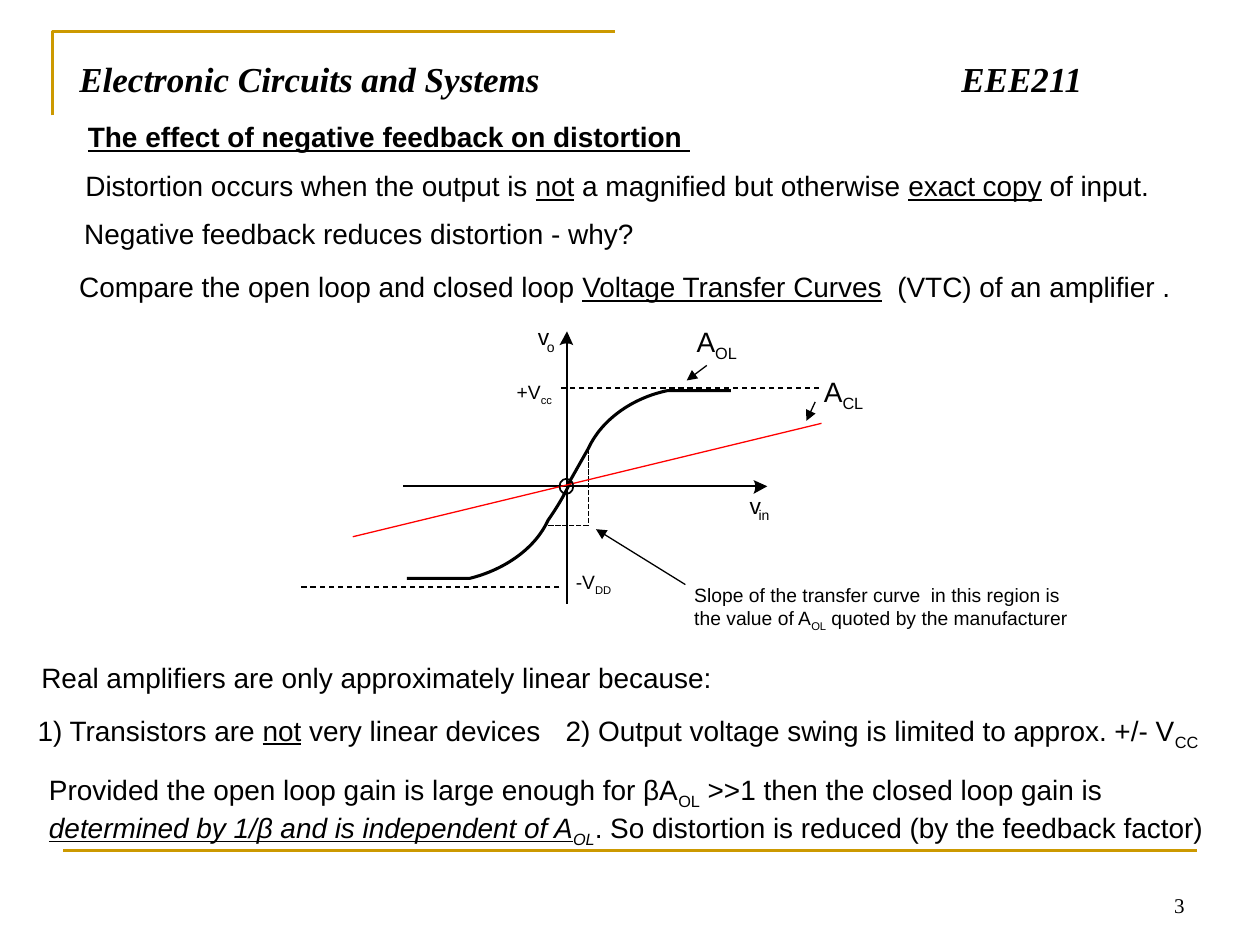
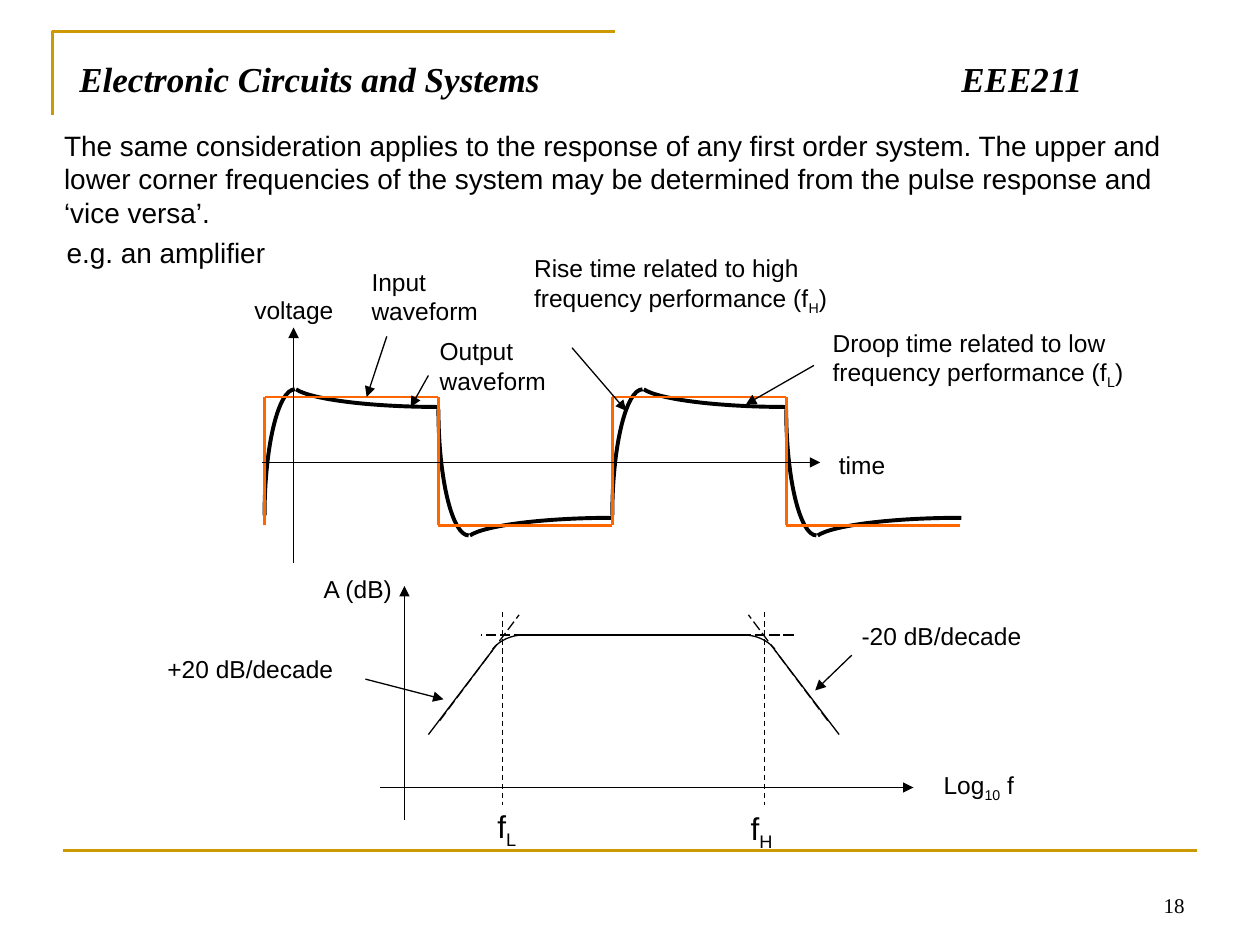
from lxml import etree
from pptx import Presentation, util as u
from pptx.dml.color import RGBColor
from pptx.enum import dml, shapes, text
from pptx.oxml.ns import qn

BLACK = RGBColor(0, 0, 0)
GOLD = RGBColor(0xCC, 0x99, 0x00)
RED = RGBColor(0xFF, 0, 0)
ORANGE = RGBColor(0xFF, 0x66, 0x00)
SANS, SERIF = "Arial", "Times New Roman"
DASH, LONG, DOT = (dml.MSO_LINE.DASH, dml.MSO_LINE.LONG_DASH,
                   dml.MSO_LINE.SQUARE_DOT)
WIDE, HIGH = 10, 7.5

# Content: a run is a string, or (string, marks) with b, i, u, s (subscript)
# and l (2 points larger)
TITLE = "Electronic Circuits and Systems\tEEE211"

# left, top, width, size, lines, runs
VTC_TEXT = [
    (0.6, 0.9, 6.53, 16, 1,
     [("The effect of negative feedback on distortion", "bu"), (" ", "u")]),
    (0.58, 1.29, 9, 16, 1,
     ["Distortion occurs when the output is ", ("not", "u"),
      " a magnified but otherwise ", ("exact copy", "u"), " of input."]),
    (0.57, 1.67, 9, 16, 1, ["Negative feedback reduces distortion - why?"]),
    (0.53, 2.09, 9.22, 16, 1,
     ["Compare the open loop and closed loop ",
      ("Voltage Transfer Curves", "u"), "  (VTC) of an amplifier ."]),
    (5.43, 2.53, 0.65, 16, 1, ["A", ("OL", "s")]),
    (6.44, 2.92, 0.65, 16, 1, ["A", ("CL", "s")]),
    (0.23, 5.19, 5.75, 16, 1,
     ["Real amplifiers are only approximately linear because:"]),
    (0.2, 5.61, 4.33, 16, 1,
     ["1) Transistors are ", ("not", "u"), " very linear devices"]),
    (4.39, 5.61, 5.42, 16, 1,
     ["2) Output voltage swing is limited to approx. +/- V", ("CC", "s")]),
    (0.29, 6.08, 9.45, 16, 2,
     ["Provided the open loop gain is large enough for βA", ("OL", "s"),
      " >>1 then the closed loop gain is ",
      ("determined by 1/β and is independent of A", "iu"), ("OL", "is"),
      ". So distortion is reduced (by the feedback factor)"]),
]
# Labels without margins
VTC_TAGS = [
    (4.27, 2.56, 0.09, 13, 1, ["v"]),
    (4.34, 2.69, 0.06, 8, 1, ["o"]),
    (5.95, 3.9, 0.09, 13, 1, ["v"]),
    (6.02, 4.02, 0.09, 8, 1, ["in"]),
    (4.1, 3.02, 0.29, 11, 1, ["+V", ("cc", "s")]),
    (4.57, 4.53, 0.29, 11, 1, ["-V", ("DD", "s")]),
]
VTC_NOTE = (5.51, 4.63, 3.09, 11, 2,
            ["Slope of the transfer curve  in this region is the value of A",
             ("OL", "s"), " quoted by the manufacturer"])

PULSE_TEXT = [
    (0.41, 0.97, 9.19, 16, 3,
     ["The same consideration applies to the response of any first order "
      "system. The upper and lower corner frequencies of the system may be "
      "determined from the pulse response and ‘vice versa’."]),
    (2.85, 2.07, 1.42, 14, 2, ["Input waveform"]),
    (3.39, 2.62, 1.42, 14, 2, ["Output waveform"]),
    (4.14, 1.96, 2.71, 14, 2,
     ["Rise time related to high frequency performance (f",
      ("H", "s"), ")"]),
    (6.51, 2.55, 2.57, 14, 2,
     ["Droop time related to low frequency performance (f",
      ("L", "s"), ")"]),
    (1.92, 2.29, 0.97, 14, 1, ["voltage"]),
    (6.56, 3.52, 0.6, 14, 1, ["time"]),
    (2.47, 4.51, 1.01, 14, 1, ["A (dB)"]),
    (7.39, 6.06, 1.21, 14, 1, ["Log", ("10", "s"), " f"]),
    (1.23, 5.14, 1.65, 14, 1, ["+20 dB/decade"]),
    (6.74, 4.88, 1.5, 14, 1, ["-20 dB/decade"]),
    (3.85, 6.36, 0.4, 18, 1, ["f", ("L", "s")]),
    (5.86, 6.37, 0.39, 18, 1, ["f", ("H", "s")]),
]
# The underlined tab draws the blank after the words
PULSE_EG = (0.43, 1.79, 2.28, 16, 1, ["e.g. an amplifier", ("\t", "ul")])

# Arrows: from x, from y, to x, to y
VTC_ARROWS = [(5.61, 2.9, 5.45, 3.02), (6.47, 3.19, 6.4, 3.34),
              (5.44, 4.64, 4.73, 4.2)]
PULSE_ARROWS = [
    (2.08, 3.67, 6.51, 3.67), (2.33, 4.47, 2.33, 2.6),      # time axes
    (3.02, 6.25, 7.25, 6.25), (3.21, 6.51, 3.21, 4.65),     # gain axes
    (3.07, 2.67, 2.91, 3.15), (3.4, 2.98, 3.26, 3.23),
    (4.54, 2.76, 4.97, 3.26), (6.46, 2.9, 5.92, 3.21),
    (2.9, 5.39, 3.52, 5.55), (6.76, 5.2, 6.47, 5.48),
]


# Drawing helpers, all in inches
def put(para, runs, size, font=SANS):
    for item in runs:
        words, marks = (item, "") if isinstance(item, str) else item
        run = para.add_run()
        run.text = words
        f = run.font
        f.name, f.color.rgb = font, BLACK
        f.size = u.Pt(size + 2 * ("l" in marks))
        f.bold, f.italic, f.underline = "b" in marks, "i" in marks, "u" in marks
        if "s" in marks:
            f._element.set("baseline", "-25000")


def stop(para, place):
    """One left tab stop, measured from the text edge."""
    tabs = etree.SubElement(para._p.get_or_add_pPr(), qn("a:tabLst"))
    etree.SubElement(tabs, qn("a:tab"), pos=str(u.Inches(place)), algn="l")


def write(slide, left, top, width, size, lines, runs, pad=True, wrap=True,
          font=SANS):
    tall = lines * size * 1.2 / 72 + (0.1 if pad else 0)
    box = slide.shapes.add_textbox(*map(u.Inches, (left, top, width, tall)))
    frame = box.text_frame
    frame.word_wrap = wrap
    if not pad:
        frame.margin_left = frame.margin_right = 0
        frame.margin_top = frame.margin_bottom = 0
    put(frame.paragraphs[0], runs, size, font)
    return frame


def line(slide, ends, width=0.75, color=BLACK, dash=None, arrow=False):
    bar = slide.shapes.add_connector(shapes.MSO_CONNECTOR.STRAIGHT,
                                     *map(u.Inches, ends))
    bar.line.width, bar.line.color.rgb = u.Pt(width), color
    if dash:
        bar.line.dash_style = dash
    if arrow:
        tip = etree.SubElement(bar.line._get_or_add_ln(), qn("a:tailEnd"))
        tip.set("type", "triangle")
    etree.SubElement(bar._element.spPr, qn("a:effectLst"))


def trace(slide, first, steps, width=0.75, color=BLACK, solid=False):
    """Outline from first; a step is (x, y), or three points of a curve."""
    steps = [s if isinstance(s[0], tuple) else (s,) for s in steps]
    pts = [tuple(map(u.Inches, p)) for s in steps for p in s]
    pen = slide.shapes.build_freeform(*map(u.Inches, first))
    pen.add_line_segments(pts, close=solid)
    form = pen.convert_to_shape()
    # Join each group of three points into one cubic curve
    legs = iter(list(form._element.iter(qn("a:lnTo"))))
    for step in steps:
        group = [next(legs) for _ in step]
        if len(group) == 3:
            cubic = etree.Element(qn("a:cubicBezTo"))
            group[0].addprevious(cubic)
            for leg in group:
                cubic.append(leg[0])
                leg.getparent().remove(leg)
    form.shadow.inherit = False
    if solid:
        form.fill.solid()
        form.fill.fore_color.rgb = color
        form.line.fill.background()
    else:
        form.fill.background()
        form.line.width, form.line.color.rgb = u.Pt(width), color


def start(deck, number):
    """New slide with the gold frame, title and page number."""
    slide = deck.slides.add_slide(deck.slide_layouts[5])
    side, top = WIDE / 24, HIGH / 30
    trace(slide, (side, 11 / 12), [(side, top), (4.88, top)], 1.5, GOLD)
    line(slide, (0.05 * WIDE, 0.9 * HIGH, 0.95 * WIDE, 0.9 * HIGH), 1.5, GOLD)
    page = write(slide, 7.17, 6.83, 2.33, 12, 2, [number], font=SERIF)
    page.vertical_anchor = text.MSO_ANCHOR.BOTTOM
    page.paragraphs[0].alignment = text.PP_ALIGN.RIGHT

    head = slide.shapes.title
    head.left, head.top, head.width, head.height = map(
        u.Inches, (0.53, 0.41, 8.92, 0.61))
    frame = head.text_frame
    frame.vertical_anchor = text.MSO_ANCHOR.TOP
    frame.auto_size = text.MSO_AUTO_SIZE.NONE
    para = frame.paragraphs[0]
    para.alignment = text.PP_ALIGN.LEFT
    stop(para, 7)
    put(para, [(TITLE, "bi")], 20, SERIF)
    return slide


def vtc(deck):
    slide = start(deck, "3")
    # Axes with solid heads
    line(slide, (4.5, 4.79, 4.5, 2.72), 1)
    line(slide, (3.2, 3.86, 6.01, 3.86), 1)
    trace(slide, (4.5, 2.63),
          [(4.55, 2.74), ((4.52, 2.72), (4.48, 2.72), (4.44, 2.74))],
          solid=True)
    trace(slide, (6.09, 3.86),
          [(5.98, 3.92), ((6, 3.88), (6, 3.84), (5.98, 3.81))], solid=True)
    # Open loop curve, lower and upper half
    trace(slide, (4.53, 3.82),
          [((4.48, 3.93), (4.42, 4.03), (4.35, 4.13)),
           ((4.25, 4.35), (4.01, 4.52), (3.73, 4.59)), (3.23, 4.59)], 1.75)
    trace(slide, (4.5, 3.86),
          [(4.67, 3.56), ((4.77, 3.34), (5.01, 3.16), (5.3, 3.1)),
           (5.8, 3.1)], 1.75)
    # Slope region, supply limits, closed loop line
    line(slide, (4.67, 3.56, 4.67, 4.17), 1, dash=DOT)
    line(slide, (4.67, 4.17, 4.32, 4.17), 1, dash=DOT)
    line(slide, (4.44, 4.66, 2.39, 4.66), dash=DASH)
    line(slide, (6.5, 3.08, 4.45, 3.08), dash=DASH)
    line(slide, (2.8, 4.26, 6.52, 3.36), color=RED)
    ring = slide.shapes.add_shape(shapes.MSO_SHAPE.OVAL, *map(
        u.Inches, (4.44, 3.8, 0.11, 0.12)))
    ring.shadow.inherit = False
    ring.fill.background()
    ring.line.width, ring.line.color.rgb = u.Pt(1), BLACK
    # Words and pointers
    for item in VTC_TEXT:
        write(slide, *item)
    for item in VTC_TAGS:
        write(slide, *item, pad=False, wrap=False)
    write(slide, *VTC_NOTE, pad=False)
    for ends in VTC_ARROWS:
        line(slide, ends, arrow=True)


def pulse(deck):
    slide = start(deck, "18")
    # Output wave: each half cycle flips the one before about the time axis
    left, half, mid = 2.1, 1.38, 3.67
    edge = [(0, -0.42), (0, 0.13), (0.11, 0.58), (0.24, 0.58)]
    droop = [(0.25, 0.58), (0.37, 0.5), (0.84, 0.44), (1.39, 0.44)]
    for k in range(4):
        x, sign = left + half * k, (-1) ** k
        for part in (edge, droop):
            first, *bend = [(x + a, mid - sign * b) for a, b in part]
            trace(slide, first, [bend], 2.25)
    # Input wave: square
    high, low = 3.15, 4.17
    for k in range(4):
        x, y = left + half * k, (high, low)[k % 2]
        line(slide, (x, low, x, high), 1.5, ORANGE)
        line(slide, (x, y, x + half, y), 1.5, ORANGE)
    # Gain plot: both corners mirror about its centre
    centre, top = 5.03, 5.04
    line(slide, (centre + 0.88, top, centre - 0.88, top))
    line(slide, (6.3, top, 3.82, top), dash=LONG)
    for s in (-1, 1):
        def at(x):
            return centre + s * x
        trace(slide, (at(0.88), top),
              [((at(0.97), top), (at(1.06), 5.08), (at(1.12), 5.15))])
        line(slide, (at(1.12), 5.16, at(1.63), 5.83))
        line(slide, (at(1.54), 5.72, at(0.91), 4.88), dash=LONG)
        line(slide, (at(1.04), 4.86, at(1.04), 6.39), dash=DASH)
    # Words and pointers
    for item in PULSE_TEXT:
        write(slide, *item)
    stop(write(slide, *PULSE_EG).paragraphs[0], 1.84)
    for ends in PULSE_ARROWS:
        line(slide, ends, arrow=True)


def main():
    deck = Presentation()
    deck.slide_width, deck.slide_height = u.Inches(WIDE), u.Inches(HIGH)
    vtc(deck)
    pulse(deck)
    deck.save("out.pptx")


if __name__ == "__main__":
    main()
